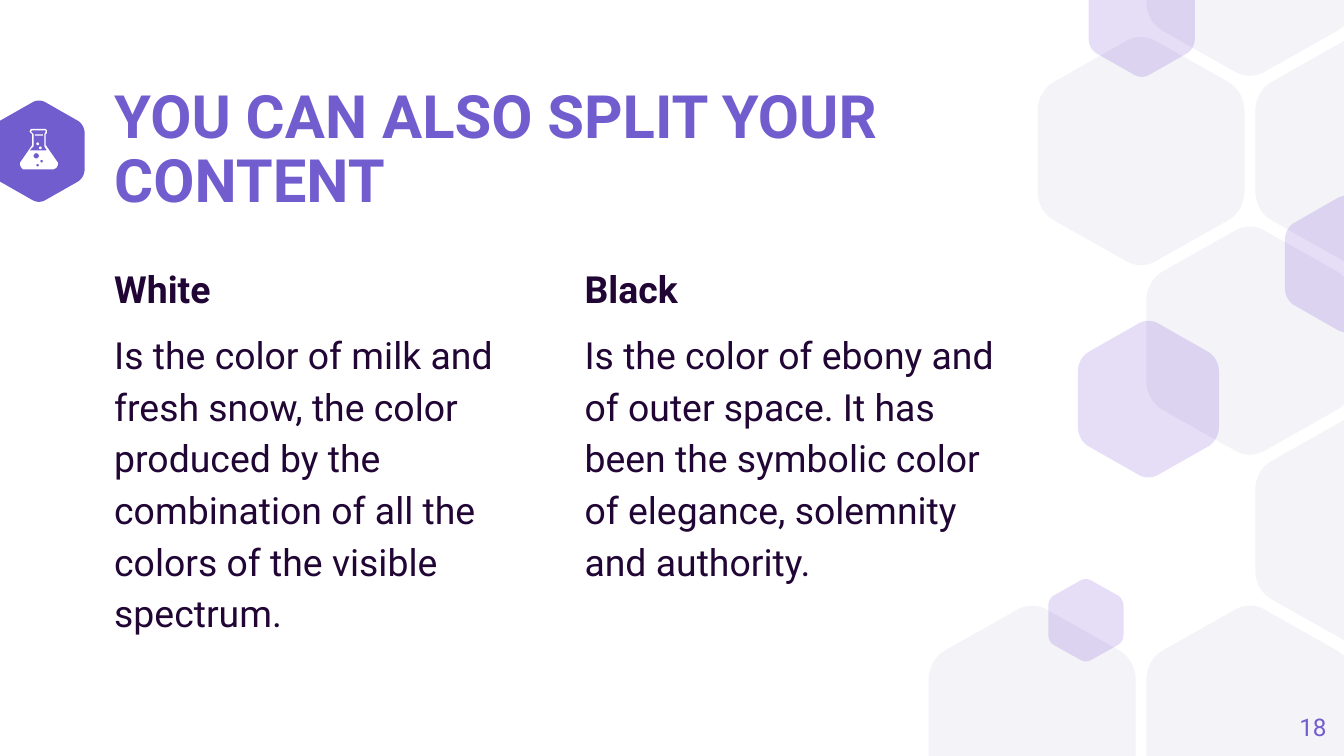
from dataclasses import dataclass

import lxml.etree
import pptx
import pptx.dml.color
import pptx.enum.shapes
import pptx.enum.text
import pptx.oxml.ns
import pptx.util

Inches = pptx.util.Inches
Kind = pptx.enum.shapes.MSO_SHAPE
Align = pptx.enum.text.PP_ALIGN
Anchor = pptx.enum.text.MSO_ANCHOR
Point = tuple[float, float]


@dataclass(frozen=True)
class Theme:
    font: str = "Roboto"
    main: str = "725DCF"
    ink: str = "210635"
    pale: str = "F4F3F8"
    tint: str = "5322C9"
    white: str = "FFFFFF"
    title: int = 32
    body: int = 20
    number: int = 13
    alpha: int = 15


@dataclass(frozen=True)
class Box:
    left: float
    top: float
    width: float
    height: float


@dataclass(frozen=True)
class Dot:
    x: float
    y: float
    radius: float


@dataclass(frozen=True)
class Column:
    left: float
    head: str
    body: str


THEME = Theme()
WIDTH = 10
HEIGHT = WIDTH * 9 / 16

SIDE = [(1, 0.325), (1, 0.27), (0.97, 0.22), (0.92, 0.195)]
CROWN = [(0.58, 0.02), (0.53, -0.01), (0.47, -0.01), (0.42, 0.02)]

CELLS = [(0, 4), (2, 4), (3, 1), (2, 0), (2, 2), (1, 1), (3, 3)]
GEMS = [
    Box(9.56, 1.46, 0.91, 1.01),
    Box(7.8, 4.31, 0.56, 0.61),
    Box(8.1, -0.3, 0.79, 0.87),
    Box(8.02, 2.39, 1.05, 1.16),
]

FLASK = [
    (0.24, 0.96), (0.34, 0.96), (0.35, 0.97), (0.35, 0.99), (0.34, 1),
    (0.34, 1.08), (0.43, 1.21), (0.43, 1.23), (0.42, 1.25), (0.4, 1.26),
    (0.17, 1.26), (0.16, 1.25), (0.15, 1.23), (0.15, 1.21), (0.24, 1.08),
    (0.24, 1), (0.22, 0.98), (0.23, 0.96),
]
GLASS = [
    (0.24, 0.97), (0.34, 0.97), (0.34, 0.98), (0.33, 1), (0.33, 1.09),
    (0.35, 1.12), (0.22, 1.12), (0.25, 1.09), (0.25, 1), (0.23, 0.98),
]
HOLES = [Dot(0.27, 1.16, 0.02), Dot(0.31, 1.2, 0.01), Dot(0.28, 1.23, 0.01)]
DROPS = [Dot(0.3, 1.1, 0.01), Dot(0.28, 1.07, 0.01)]

COLUMNS = [
    Column(0.85, "White", "Is the color of milk and fresh snow, the color produced by "
           "the combination of all the colors of the visible spectrum."),
    Column(4.35, "Black", "Is the color of ebony and of outer space. It has been the "
           "symbolic color of elegance, solemnity and authority."),
]


def rgb(color: str) -> pptx.dml.color.RGBColor:
    return pptx.dml.color.RGBColor.from_string(color)


def paint(shape, color: str, alpha: int = 100) -> None:
    shape.shadow.inherit = False
    shape.line.fill.background()
    shape.fill.solid()
    shape.fill.fore_color.rgb = rgb(color)
    if alpha < 100:
        tone = shape.fill._xPr.find(".//" + pptx.oxml.ns.qn("a:srgbClr"))
        lxml.etree.SubElement(tone, pptx.oxml.ns.qn("a:alpha"), val=str(alpha * 1000))


def curve(knots: list[Point], steps: int = 8) -> list[Point]:
    points = []
    for step in range(steps + 1):
        t = step / steps
        parts = ((1 - t) ** 3, 3 * t * (1 - t) ** 2, 3 * t * t * (1 - t), t ** 3)
        points.append((sum(p * x for p, (x, y) in zip(parts, knots)),
                       sum(p * y for p, (x, y) in zip(parts, knots))))
    return points


def trace(shapes, rings: list[list[Point]], color: str, alpha: int = 100) -> None:
    paths = [[(Inches(x), Inches(y)) for x, y in ring] for ring in rings]
    pen = shapes.build_freeform(*paths[0][0])
    pen.add_line_segments(paths[0][1:])
    for ring in paths[1:]:
        pen.move_to(*ring[0])
        pen.add_line_segments(ring[1:])
    paint(pen.convert_to_shape(), color, alpha)


def hexagon(shapes, box: Box, color: str, alpha: int = 100) -> None:
    right = curve(SIDE)
    left = [(1 - x, y) for x, y in reversed(right)]
    upper = right + curve(CROWN) + left
    unit = upper + [(1 - x, 1 - y) for x, y in upper]
    ring = [(box.left + x * box.width,
             min(max(box.top + y * box.height, 0), HEIGHT)) for x, y in unit]
    trace(shapes, [ring], color, alpha)


def square(dot: Dot) -> Box:
    return Box(dot.x - dot.radius, dot.y - dot.radius, 2 * dot.radius, 2 * dot.radius)


def circle(dot: Dot) -> list[Point]:
    bend = 0.55
    arc = curve([(1, 0), (1, bend), (bend, 1), (0, 1)], 4)
    half = arc + [(-y, x) for x, y in arc]
    unit = half + [(-x, -y) for x, y in half]
    return [(dot.x + x * dot.radius, dot.y + y * dot.radius) for x, y in unit]


def preset(shapes, kind: Kind, box: Box, color: str) -> None:
    paint(shapes.add_shape(kind, Inches(box.left), Inches(box.top),
                           Inches(box.width), Inches(box.height)), color)


def flask(shapes) -> None:
    rings = [FLASK, GLASS] + [circle(hole) for hole in HOLES]
    trace(shapes, rings, THEME.white)
    for drop in DROPS:
        preset(shapes, Kind.OVAL, square(drop), THEME.white)
    preset(shapes, Kind.ROUNDED_RECTANGLE, Box(0.26, 1, 0.06, 0.01), THEME.white)


def write(shapes, box: Box, lines: list[str], size: int, color: str,
          anchor: Anchor = Anchor.MIDDLE) -> list:
    frame = shapes.add_textbox(Inches(box.left), Inches(box.top),
                               Inches(box.width), Inches(box.height)).text_frame
    frame.word_wrap = True
    frame.vertical_anchor = anchor
    frame.margin_left = frame.margin_right = 0
    frame.margin_top = frame.margin_bottom = 0
    frame.text = "\n".join(lines)
    for para in frame.paragraphs:
        para.font.name = THEME.font
        para.font.size = pptx.util.Pt(size)
        para.font.color.rgb = rgb(color)
    return list(frame.paragraphs)


def main() -> None:
    deck = pptx.Presentation()
    deck.slide_width, deck.slide_height = Inches(WIDTH), Inches(HEIGHT)
    shapes = deck.slides.add_slide(deck.slide_layouts[6]).shapes

    hexagon(shapes, Box(-0.05, 0.75, 0.68, 0.75), THEME.main)
    for col, row in CELLS:
        box = Box(6.91 + col * 0.81, 0.28 + (row - 1) * 1.41, 1.54, 1.69)
        hexagon(shapes, box, THEME.pale)
    for gem in GEMS:
        hexagon(shapes, gem, THEME.tint, THEME.alpha)

    [title] = write(shapes, Box(0.85, 0.91, 6.57, 0.43),
                    ["YOU CAN ALSO SPLIT YOUR CONTENT"], THEME.title, THEME.main)
    title.font.bold = True
    title.line_spacing = 0.9

    for col in COLUMNS:
        head, body = write(shapes, Box(col.left, 1.93, 3.07, 3.29),
                           [col.head, col.body], THEME.body, THEME.ink, Anchor.TOP)
        head.font.bold = True
        head.line_spacing = body.line_spacing = 1.15
        body.space_before = body.space_after = pptx.util.Pt(8)

    [number] = write(shapes, Box(9.27, 5.19, 0.6, 0.43), ["18"], THEME.number, THEME.main)
    number.alignment = Align.RIGHT
    flask(shapes)
    deck.save("out.pptx")


if __name__ == "__main__":
    main()
